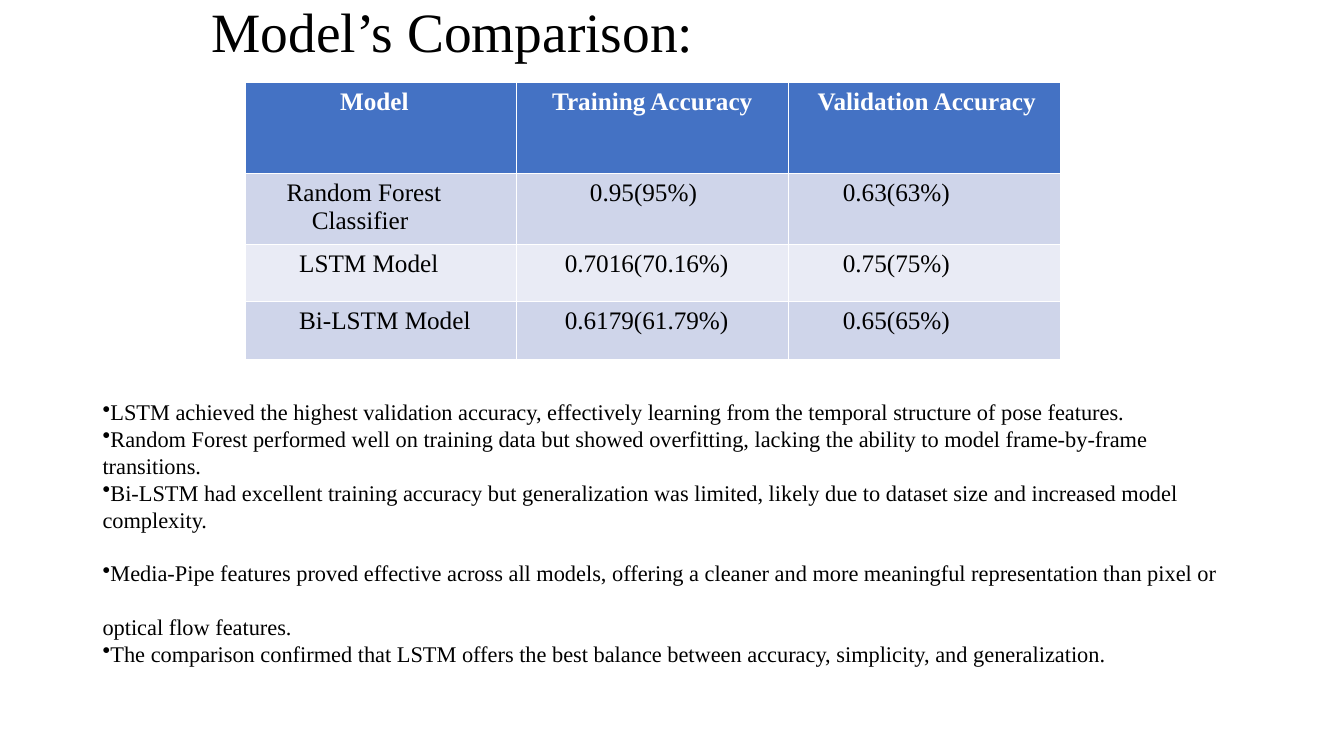
"""Build the model comparison slide with an accuracy table and findings."""
from dataclasses import dataclass

from lxml import etree
from pptx import Presentation
from pptx.dml.color import RGBColor
from pptx.enum import text
from pptx.oxml import ns
from pptx.util import Pt


@dataclass(frozen=True)
class Theme:
    font: str = "Times New Roman"
    title_size: float = 39.6
    table_size: float = 18
    body_size: float = 16
    ink: str = "000000"
    header_ink: str = "FFFFFF"
    header_fill: str = "4472C4"
    bands: tuple = ("CFD5EA", "E9EBF5")


THEME = Theme()
COLUMN_WIDTH = 194.2
ROW_HEIGHTS = (65.2, 50, 41, 41)
ROWS = (
    (("Model", 60.75), ("Training Accuracy", 18), ("Validation Accuracy", 13.5)),
    (("Random Forest\nClassifier", 22.5, 40.5), ("0.95(95%)", 45), ("0.63(63%)", 31.5)),
    (("LSTM Model", 31.5), ("0.7016(70.16%)", 27), ("0.75(75%)", 31.5)),
    (("Bi-LSTM Model", 31.5), ("0.6179(61.79%)", 27), ("0.65(65%)", 31.5)),
)
FINDINGS = (
    ("LSTM achieved the highest validation accuracy, effectively learning from the "
     "temporal structure of pose features.", 1),
    ("Random Forest performed well on training data but showed overfitting, lacking "
     "the ability to model frame-by-frame transitions.", 1),
    ("Bi-LSTM had excellent training accuracy but generalization was limited, likely "
     "due to dataset size and increased model complexity.", 1),
    ("Media-Pipe features proved effective across all models, offering a cleaner and "
     "more meaningful representation than pixel or optical flow features.", 2),
    ("The comparison confirmed that LSTM offers the best balance between accuracy, "
     "simplicity, and generalization.", 1),
)


def style_runs(para, size, color, bold=False):
    for span in para.runs:
        span.font.name = THEME.font
        span.font.size = Pt(size)
        span.font.bold = bold
        span.font.color.rgb = RGBColor.from_string(color)


def add_title(page, wording):
    title = page.shapes.title
    title.left, title.top, title.width, title.height = Pt(144), Pt(0), Pt(702), Pt(49)
    frame = title.text_frame
    frame.text = wording
    frame.vertical_anchor = text.MSO_ANCHOR.MIDDLE
    frame.auto_size = text.MSO_AUTO_SIZE.NONE
    para = frame.paragraphs[0]
    para.alignment = text.PP_ALIGN.LEFT
    para.line_spacing = 0.9
    style_runs(para, THEME.title_size, THEME.ink)


def fill_cell(cell, wording, indents, fill, ink, bold):
    cell.fill.solid()
    cell.fill.fore_color.rgb = RGBColor.from_string(fill)
    cell.text_frame.text = wording
    for para, indent in zip(cell.text_frame.paragraphs, indents):
        para._p.get_or_add_pPr().set("marL", str(Pt(indent)))
        style_runs(para, THEME.table_size, ink, bold)


def add_accuracy_table(page):
    frame = page.shapes.add_table(len(ROWS), len(ROWS[0]), Pt(175), Pt(59),
                                  Pt(COLUMN_WIDTH * len(ROWS[0])), Pt(sum(ROW_HEIGHTS)))
    table = frame.table
    for column in table.columns:
        column.width = Pt(COLUMN_WIDTH)
    for number, (entries, height) in enumerate(zip(ROWS, ROW_HEIGHTS)):
        table.rows[number].height = Pt(height)
        header = number == 0
        fill = THEME.header_fill if header else THEME.bands[(number - 1) % 2]
        ink = THEME.header_ink if header else THEME.ink
        for cell, (wording, *indents) in zip(table.rows[number].cells, entries):
            fill_cell(cell, wording, indents, fill, ink, header)


def add_findings(page):
    box = page.shapes.add_textbox(Pt(66.2), Pt(280), Pt(833), Pt(201))
    frame = box.text_frame
    frame.word_wrap = True
    frame.auto_size = text.MSO_AUTO_SIZE.SHAPE_TO_FIT_TEXT
    frame.vertical_anchor = text.MSO_ANCHOR.MIDDLE
    frame.text = "\n".join(wording for wording, spacing in FINDINGS)
    for para, (wording, spacing) in zip(frame.paragraphs, FINDINGS):
        bullet = etree.SubElement(para._p.get_or_add_pPr(), ns.qn("a:buChar"))
        bullet.set("char", "•")
        para.line_spacing = float(spacing)
        style_runs(para, THEME.body_size, THEME.ink)


def main():
    deck = Presentation()
    deck.slide_width, deck.slide_height = Pt(960), Pt(540)
    page = deck.slides.add_slide(deck.slide_layouts.get_by_name("Title Only"))
    add_title(page, "Model’s Comparison:")
    add_findings(page)
    add_accuracy_table(page)
    deck.save("out.pptx")


if __name__ == "__main__":
    main()
